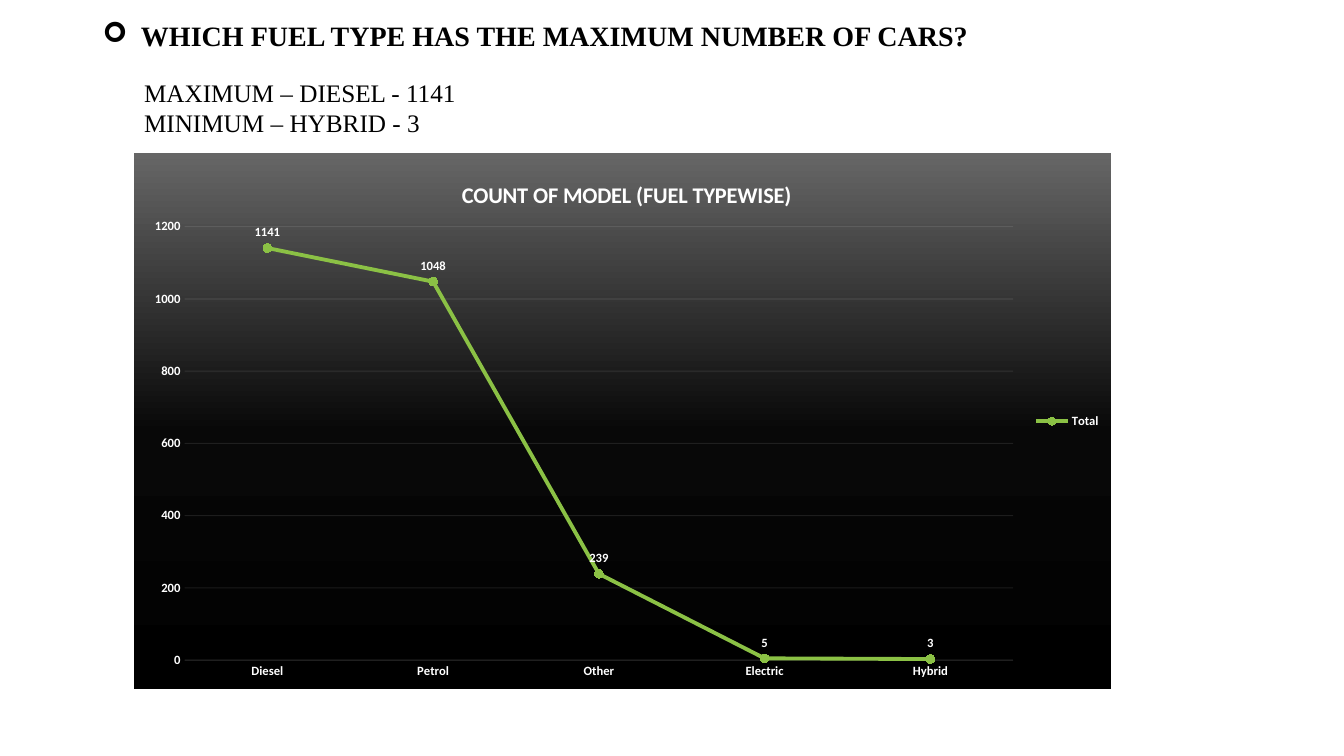
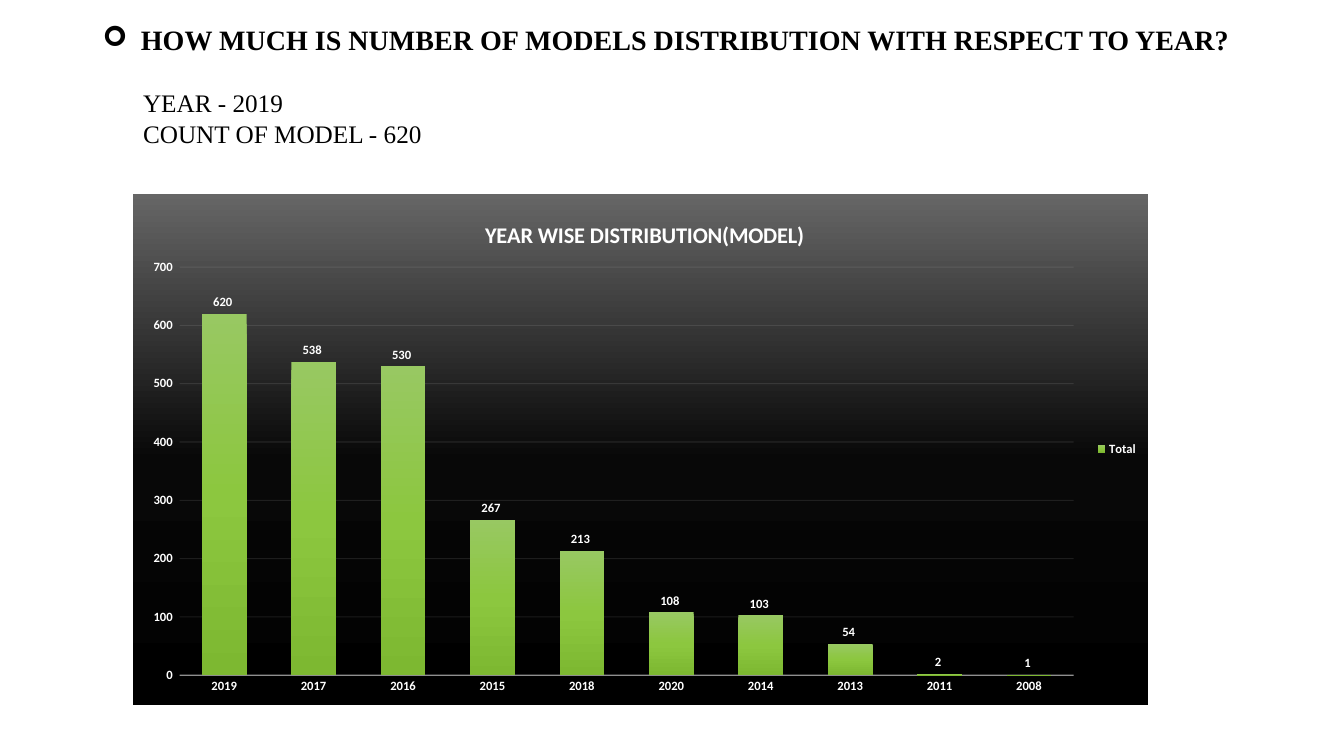
from lxml import etree
from pptx import Presentation
from pptx.chart.data import CategoryChartData
from pptx.dml.color import RGBColor
from pptx.enum.chart import XL_CHART_TYPE as ChartType
from pptx.enum.chart import XL_LABEL_POSITION as LabelPos
from pptx.enum.chart import XL_LEGEND_POSITION as LegendPos
from pptx.enum.chart import XL_MARKER_STYLE as Marker
from pptx.enum.chart import XL_TICK_MARK as Tick
from pptx.enum.text import MSO_ANCHOR as Anchor
from pptx.oxml import parse_xml
from pptx.oxml.ns import nsdecls, qn
from pptx.util import Pt

# Shared look: 100 px to the inch
SCALE = 9144
SLIDE_SIZE = (1333, 750)
SERIF, SANS = "Times New Roman", "Calibri"
BLACK, WHITE, PALE = "000000", "FFFFFF", "F2F2F2"
GREEN, MARKER_GREEN = "8BC145", "8CC73F"
BACKDROP = ([(0, "000000"), (48, "080808"), (100, "666666")], 270)
BAR_FILL = ([(0, "98C862"), (50, "8CC73F"), (100, "7DB831")], 90)
HEADING_FONT = {"name": SERIF, "size": Pt(20), "bold": True}
ANSWER_FONT = {"name": SERIF, "size": Pt(18)}
CHART_FONT = {"name": SANS, "size": Pt(9), "bold": True}
CHART_TITLE_FONT = {"name": SANS, "size": Pt(16), "bold": True}
HEADING_INDENT = 38

# Content; plot and title places are measured from the chart's corner
ACCOUNTING = r"#,##0_);\(#,##0\)"
SLIDES = [
    {
        "heading": "WHICH FUEL TYPE HAS THE MAXIMUM NUMBER OF CARS?",
        "heading_at": (92, 11, 1150, 52),
        "answer": ["MAXIMUM – DIESEL - 1141", "MINIMUM – HYBRID - 3"],
        "answer_at": (133, 72, 825, 71),
        "kind": ChartType.LINE_MARKERS,
        "chart_at": (133, 152, 969, 532),
        "title": "COUNT OF MODEL (FUEL TYPEWISE)",
        "title_at": (321, 22),
        "plot_at": (50, 73, 822, 430),
        "values": {"Diesel": 1141, "Petrol": 1048, "Other": 239,
                   "Electric": 5, "Hybrid": 3},
        "top": 1200, "step": 200, "format": "General",
        "axis_line": (0.75, 10), "label_at": LabelPos.ABOVE,
    },
    {
        "heading": "HOW MUCH IS NUMBER OF MODELS DISTRIBUTION WITH RESPECT TO YEAR?",
        "heading_at": (92, 15, 1150, 53),
        "answer": ["YEAR - 2019", "COUNT OF MODEL - 620"],
        "answer_at": (132, 82, 671, 71),
        "kind": ChartType.COLUMN_CLUSTERED,
        "chart_at": (132, 192, 1007, 507),
        "title": "YEAR WISE DISTRIBUTION(MODEL)",
        "title_at": (345, 22),
        "plot_at": (46, 73, 887, 405),
        "values": {"2019": 620, "2017": 538, "2016": 530, "2015": 267,
                   "2018": 213, "2020": 108, "2014": 103, "2013": 54,
                   "2011": 2, "2008": 1},
        "top": 700, "step": 100, "format": ACCOUNTING,
        "axis_line": (1, 54), "label_at": LabelPos.OUTSIDE_END,
    },
]


def px(*lengths):
    return [length * SCALE for length in lengths]


def color(code):
    return RGBColor.from_string(code)


def assign(target, values):
    for name, value in values.items():
        setattr(target, name, value)


def style_font(font, values, code):
    assign(font, values)
    font.color.rgb = color(code)


def gradient(stops, angle):
    marks = "".join(
        f'<a:gs pos="{pos * 1000}"><a:srgbClr val="{code}"/></a:gs>'
        for pos, code in stops)
    return parse_xml(
        f'<a:gradFill {nsdecls("a")} rotWithShape="1"><a:gsLst>{marks}</a:gsLst>'
        f'<a:lin ang="{angle * 60000}" scaled="0"/></a:gradFill>')


def add_text(page, lines, place, font):
    box = page.shapes.add_textbox(*px(*place))
    frame = box.text_frame
    frame.word_wrap = True
    for number, line in enumerate(lines):
        para = frame.add_paragraph() if number else frame.paragraphs[0]
        span = para.add_run()
        span.text = line
        style_font(span.font, font, BLACK)
    return frame


def add_heading(page, text, place):
    frame = add_text(page, [text], place, HEADING_FONT)
    frame.vertical_anchor = Anchor.MIDDLE
    para = frame.paragraphs[0]
    para.line_spacing = 0.9
    props = para._p.get_or_add_pPr()
    indent = HEADING_INDENT * SCALE
    props.set("marL", str(indent))
    props.set("indent", str(-indent))
    etree.SubElement(props, qn("a:buFont"), typeface="Wingdings")
    etree.SubElement(props, qn("a:buChar"), char="➢")


def manual_layout(place, size, inner=False):
    """Place a chart part at px measured from the chart's corner."""
    target = '<c:layoutTarget val="inner"/>' if inner else ""
    modes = '<c:xMode val="edge"/><c:yMode val="edge"/>'
    parts = "".join(
        f'<c:{name} val="{length / whole:.4f}"/>'
        for name, length, whole in zip("xywh", place, size * 2))
    return parse_xml(f'<c:layout {nsdecls("c")}><c:manualLayout>{target}{modes}'
                     f'{parts}</c:manualLayout></c:layout>')


def set_line(line, element, width, opacity):
    line.width = Pt(width)
    line.color.rgb = color(PALE)
    for tint in element.iter(qn("a:srgbClr")):
        if tint.get("val") == PALE:
            etree.SubElement(tint, qn("a:alpha"), val=str(opacity * 1000))


def style_axes(chart, item):
    category, value = chart.category_axis, chart.value_axis
    # Lines come first, while the axes hold no other pale colour
    set_line(category.format.line, category._element, *item["axis_line"])
    value.has_major_gridlines = True
    set_line(value.major_gridlines.format.line, value._element, 0.75, 10)
    value.format.line.fill.background()
    assign(value, {"minimum_scale": 0, "maximum_scale": item["top"],
                   "major_unit": item["step"]})
    assign(value.tick_labels, {"number_format": item["format"],
                               "number_format_is_linked": False})
    for axis in (category, value):
        assign(axis, {"major_tick_mark": Tick.NONE, "minor_tick_mark": Tick.NONE})
        style_font(axis.tick_labels.font, CHART_FONT, WHITE)


def style_series(plot, kind):
    series = plot.series[0]
    if kind == ChartType.LINE_MARKERS:
        series.smooth = False
        series.format.line.width = Pt(2.75)
        series.format.line.color.rgb = color(GREEN)
        assign(series.marker, {"style": Marker.CIRCLE, "size": 6})
        dot = series.marker.format
        dot.fill.solid()
        dot.fill.fore_color.rgb = color(MARKER_GREEN)
        dot.line.fill.background()
    else:
        assign(plot, {"gap_width": 100, "overlap": -24})
        series.format.fill.solid()
        solid = series._element.find(qn("c:spPr")).find(qn("a:solidFill"))
        solid.getparent().replace(solid, gradient(*BAR_FILL))


def style_labels(plot, item):
    plot.has_data_labels = True
    labels = plot.data_labels
    assign(labels, {"show_value": True, "position": item["label_at"],
                    "number_format": item["format"],
                    "number_format_is_linked": False})
    style_font(labels.font, CHART_FONT, WHITE)


def place_parts(chart, item):
    size = item["chart_at"][2:]
    area = chart._chartSpace.chart.plotArea
    title = chart.chart_title._element
    for old in area.findall(qn("c:layout")) + title.findall(qn("c:layout")):
        old.getparent().remove(old)
    area.insert(0, manual_layout(item["plot_at"], size, inner=True))
    title.find(qn("c:tx")).addnext(manual_layout(item["title_at"], size))


def add_chart(page, item):
    data = CategoryChartData()
    data.categories = list(item["values"])
    data.add_series("Total", list(item["values"].values()))
    chart = page.shapes.add_chart(item["kind"], *px(*item["chart_at"]), data).chart
    style_font(chart.font, {**CHART_FONT, "size": Pt(10)}, WHITE)

    # Backdrop
    backdrop = parse_xml(f'<c:spPr {nsdecls("c", "a")}><a:ln><a:noFill/></a:ln></c:spPr>')
    backdrop.insert(0, gradient(*BACKDROP))
    chart._chartSpace.chart.addnext(backdrop)

    # Title and legend
    chart.has_title = True
    span = chart.chart_title.text_frame.paragraphs[0].add_run()
    span.text = item["title"]
    style_font(span.font, CHART_TITLE_FONT, WHITE)
    chart.chart_title.include_in_layout = False
    chart.has_legend = True
    assign(chart.legend, {"position": LegendPos.RIGHT, "include_in_layout": False})
    style_font(chart.legend.font, CHART_FONT, WHITE)

    # Plot
    plot = chart.plots[0]
    plot.vary_by_categories = False
    style_axes(chart, item)
    style_series(plot, item["kind"])
    style_labels(plot, item)
    place_parts(chart, item)


def main():
    deck = Presentation()
    deck.slide_width, deck.slide_height = px(*SLIDE_SIZE)
    for item in SLIDES:
        page = deck.slides.add_slide(deck.slide_layouts[6])
        add_heading(page, item["heading"], item["heading_at"])
        add_text(page, item["answer"], item["answer_at"], ANSWER_FONT)
        add_chart(page, item)
    deck.save("out.pptx")


if __name__ == "__main__":
    main()
